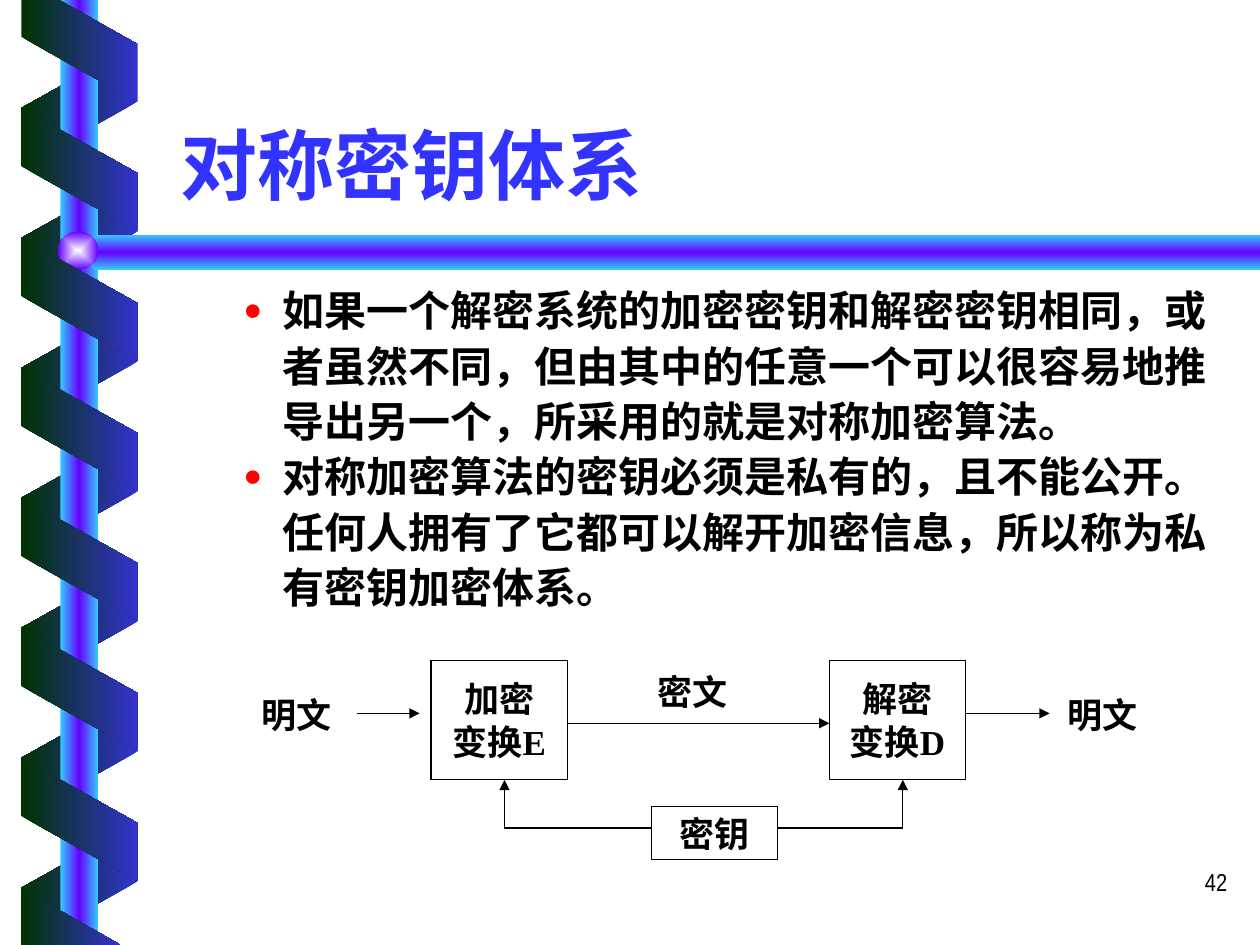
from lxml.etree import SubElement
from pptx import Presentation
from pptx.dml.color import RGBColor
from pptx.enum.shapes import MSO_CONNECTOR, MSO_SHAPE as Shape
from pptx.enum.text import MSO_ANCHOR as Anchor, MSO_AUTO_SIZE as AutoSize, PP_ALIGN as Align
from pptx.oxml import parse_xml
from pptx.oxml.ns import nsdecls, qn
from pptx.util import Cm, Pt

COLORS = {
    "title": "3333FF", "text": "000000", "bullet": "FF0000", "paper": "FFFFFF",
    "dark": "003300", "ribbon": "3333CC", "edge": "33CCFF", "core": "6600FF", "shine": "FEFFFF",
}
SERIF, CJK, NARROW = "Times New Roman", "Noto Sans CJK SC", "Arial Narrow"
LINEAR = '<a:lin ang="{}" scaled="0"/>'
FROM_CENTER = '<a:path path="rect"><a:fillToRect l="50000" t="50000" r="50000" b="50000"/></a:path>'


class SlideBuilder:
    """Holds the current slide and the style; all lengths are in centimetres."""

    def __init__(self, page):
        self.page = page
        self.shapes = page.shapes

    def color(self, name):
        return RGBColor.from_string(COLORS[name])

    def gradient(self, shape, names, direction):
        """Spread the named colours evenly; the gradient does not turn with the shape."""
        shape.shadow.inherit = False
        shape.line.fill.background()
        shape.fill.background()
        stops = "".join(
            f'<a:gs pos="{100000 * i // (len(names) - 1)}"><a:srgbClr val="{COLORS[name]}"/></a:gs>'
            for i, name in enumerate(names))
        fill = parse_xml(f'<a:gradFill {nsdecls("a")} rotWithShape="0">'
                         f'<a:gsLst>{stops}</a:gsLst>{direction}</a:gradFill>')
        props = shape._element.spPr
        props.replace(props.find(qn("a:noFill")), fill)

    def preset(self, kind, left, top, width, height):
        return self.shapes.add_shape(kind, Cm(left), Cm(top), Cm(width), Cm(height))

    def ribbon(self, top, front):
        """One turn of the spiral, passing in front of the pole or behind it."""
        strip = self.preset(Shape.PARALLELOGRAM, 0.36, top, 2.49, 2.36 if front else 2.34)
        strip.adjustments[0] = 0.56
        strip.rotation = 270 if front else 90
        if not front:
            strip._element.spPr.find(qn("a:xfrm")).set("flipH", "1")
        names = ("dark", "ribbon") if front else ("ribbon", "dark")
        self.gradient(strip, names, LINEAR.format(0))

    def outline(self, points, names, angle):
        corners = [(Cm(x), Cm(y)) for x, y in points]
        builder = self.shapes.build_freeform(*corners[0], scale=1.0)
        builder.add_line_segments(corners[1:], close=True)
        self.gradient(builder.convert_to_shape(), names, LINEAR.format(angle))

    def span(self, para, text, size, color="text", font=SERIF, bold=True):
        run = para.add_run()
        run.text = text
        run.font.size = Pt(size)
        run.font.bold = bold
        run.font.name = font
        run.font.color.rgb = self.color(color)
        SubElement(run._r.get_or_add_rPr(), qn("a:ea")).set("typeface", CJK)

    def place(self, box, left, top, width, height):
        box.left, box.top, box.width, box.height = Cm(left), Cm(top), Cm(width), Cm(height)
        box.text_frame.auto_size = AutoSize.NONE
        box.text_frame.word_wrap = True

    def title(self, text, *area):
        box = self.shapes.title
        self.place(box, *area)
        box.text_frame.vertical_anchor = Anchor.BOTTOM
        para = box.text_frame.paragraphs[0]
        para.alignment = Align.LEFT
        self.span(para, text, 44, "title", CJK)

    def bullets(self, items, *area):
        box = self.page.placeholders[1]
        self.place(box, *area)
        for i, item in enumerate(items):
            para = box.text_frame.add_paragraph() if i else box.text_frame.paragraphs[0]
            para.level = 1
            para.line_spacing = 1.1
            para.space_before = Pt(0)
            props = para._p.get_or_add_pPr()
            props.set("marL", str(Cm(2.06)))
            props.set("indent", str(Cm(-0.79)))
            color = SubElement(props, qn("a:buClr"))
            SubElement(color, qn("a:srgbClr")).set("val", COLORS["bullet"])
            SubElement(props, qn("a:buSzPct")).set("val", "75000")
            SubElement(props, qn("a:buFont")).set("typeface", SERIF)
            SubElement(props, qn("a:buChar")).set("char", "●")
            self.span(para, item, 24)

    def label(self, text, left, top, align=Align.CENTER):
        box = self.shapes.add_textbox(Cm(left), Cm(top), Cm(2.12), Cm(0.85))
        frame = box.text_frame
        frame.word_wrap = True
        frame.margin_left = frame.margin_right = frame.margin_top = frame.margin_bottom = 0
        frame.vertical_anchor = Anchor.MIDDLE
        frame.paragraphs[0].alignment = align
        self.span(frame.paragraphs[0], text, 20)

    def page_number(self, text, *area):
        box = self.shapes.add_textbox(*map(Cm, area))
        box.text_frame.word_wrap = True
        para = box.text_frame.paragraphs[0]
        para.alignment = Align.RIGHT
        self.span(para, text, 14, font=NARROW, bold=False)

    def node(self, lines, *area, filled=False):
        box = self.preset(Shape.RECTANGLE, *area)
        box.shadow.inherit = False
        if filled:
            box.fill.solid()
            box.fill.fore_color.rgb = self.color("paper")
        else:
            box.fill.background()
        box.line.color.rgb = self.color("text")
        box.line.width = Pt(0.75)
        frame = box.text_frame
        frame.word_wrap = False
        frame.margin_left = frame.margin_right = frame.margin_top = frame.margin_bottom = 0
        frame.vertical_anchor = Anchor.MIDDLE
        for i, line in enumerate(lines):
            para = frame.add_paragraph() if i else frame.paragraphs[0]
            para.alignment = Align.CENTER
            self.span(para, line, 20)

    def connect(self, x1, y1, x2, y2, arrow=True):
        link = self.shapes.add_connector(MSO_CONNECTOR.STRAIGHT, Cm(x1), Cm(y1), Cm(x2), Cm(y2))
        link.line.color.rgb = self.color("text")
        link.line.width = Pt(0.75)
        if arrow:
            SubElement(link.line._get_or_add_ln(), qn("a:tailEnd")).set("type", "triangle")
        SubElement(link._element.spPr, qn("a:effectLst"))


def draw_spiral(slide):
    pitch, tube = 2.62, ("edge", "core", "edge")
    for turn in range(7):
        slide.ribbon(0.94 + turn * pitch, front=False)
    slide.gradient(slide.preset(Shape.RECTANGLE, 1.22, 0, 0.76, 19.05), tube, LINEAR.format(0))
    slide.outline([(25.4, 4.73), (1.93, 4.73), (1.52, 5.08), (1.93, 5.44), (25.4, 5.44)],
                  tube, 5400000)
    ball = slide.preset(Shape.OVAL, 1.17, 4.67, 0.81, 0.76)
    slide.gradient(ball, ("shine", "core"), FROM_CENTER)
    for turn in range(6):
        slide.ribbon(2.24 + turn * pitch, front=True)
    for points in ([(0.43, 0), (0.43, 0.74), (2.77, 2.06), (2.77, 0.89), (1.19, 0)],
                   [(2.43, 19.05), (0.43, 17.91), (0.43, 19.05)]):
        slide.outline(points, ("dark", "ribbon"), 0)


def draw_cipher_flow(slide):
    text_y, cipher_y, key_y = 14.38, 14.58, 16.69
    encrypt_x, decrypt_x, top, width, height = 8.69, 16.72, 13.31, 2.75, 2.41
    key_x, key_width = 13.13, 2.54
    slide.label("明文", 5.28, 13.97, Align.LEFT)
    slide.label("密文", 12.9, 13.51)
    slide.label("明文", 21.16, 13.97)
    slide.node(["加密", "变换E"], encrypt_x, top, width, height)
    slide.node(["解密", "变换D"], decrypt_x, top, width, height)
    slide.node(["密钥"], key_x, 16.26, key_width, 1.07, filled=True)
    slide.connect(7.19, text_y, 8.46, text_y)
    slide.connect(encrypt_x + width, cipher_y, decrypt_x, cipher_y)
    slide.connect(decrypt_x + width, text_y, 21.16, text_y)
    for box_x, key_side in ((encrypt_x, key_x), (decrypt_x, key_x + key_width)):
        entry_x = box_x + 1.48
        slide.connect(entry_x, key_y, entry_x, top + height)
        slide.connect(entry_x, key_y, key_side, key_y, arrow=False)


def main():
    deck = Presentation()
    deck.slide_width, deck.slide_height = Cm(25.4), Cm(19.05)
    slide = SlideBuilder(deck.slides.add_slide(deck.slide_layouts[1]))
    draw_spiral(slide)
    slide.page_number("42", 19.71, 17.35, 5.28, 1.27)
    slide.title("对称密钥体系", 3.38, 1.17, 21.59, 3.18)
    slide.bullets([
        "如果一个解密系统的加密密钥和解密密钥相同，或者虽然不同，但由其中的任意一个可以很容易地推导出另一个，所采用的就是对称加密算法。",
        "对称加密算法的密钥必须是私有的，且不能公开。任何人拥有了它都可以解开加密信息，所以称为私有密钥加密体系。",
    ], 3.38, 5.51, 21.59, 6.99)
    draw_cipher_flow(slide)
    deck.save("out.pptx")


if __name__ == "__main__":
    main()
